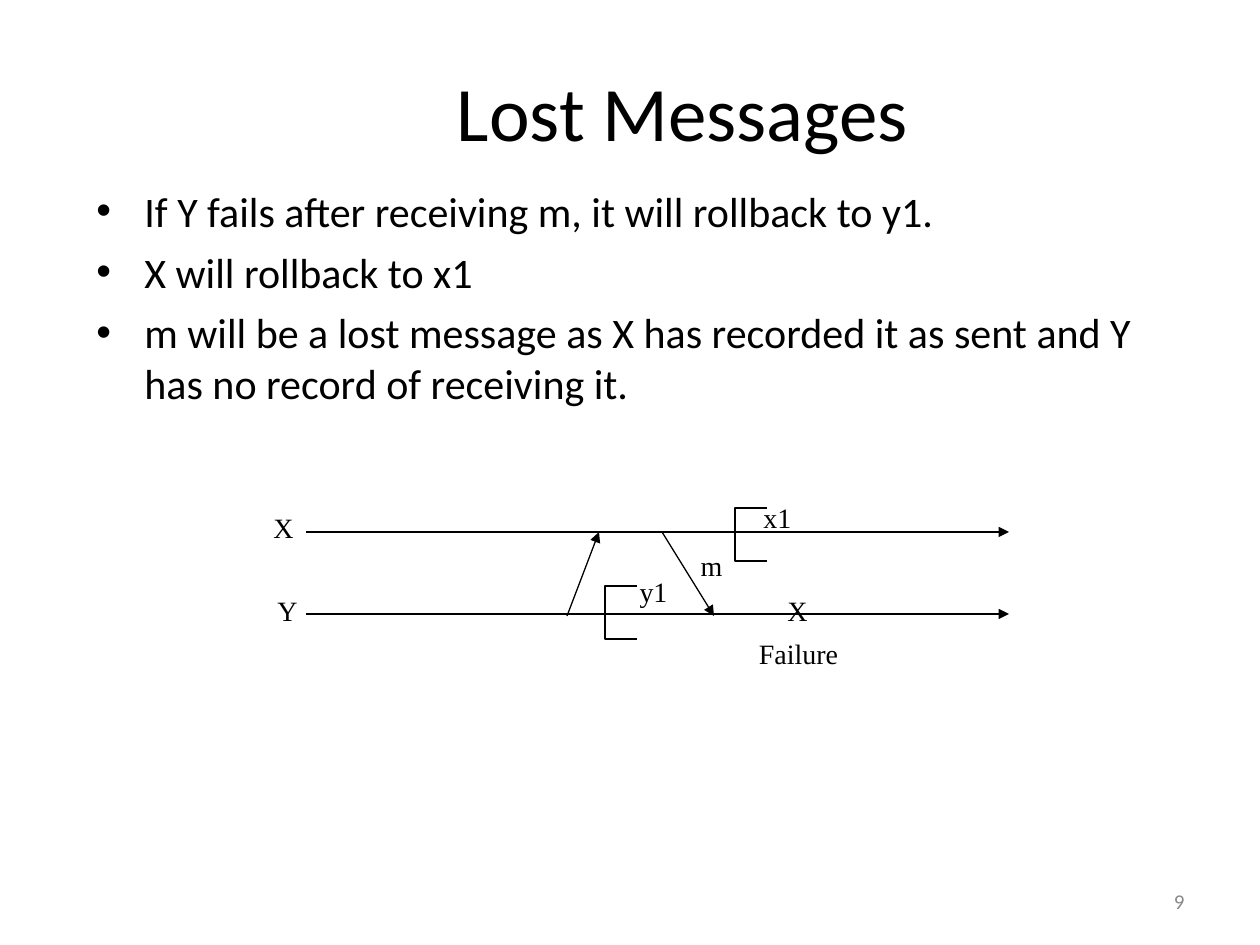
from lxml import etree
from pptx import Presentation
from pptx import util as u
from pptx.dml.color import RGBColor
from pptx.enum import shapes, text
from pptx.oxml.ns import qn

SCALE = 914400 / 126
BLACK = "000000"
SERIF = "Times New Roman"
X_LINE, Y_LINE = 532, 614
MESSAGE_END = 616


def px(length):
    return u.Emu(round(length * SCALE))


def color(value):
    return RGBColor.from_string(value)


def add_bullet(para, indent):
    properties = para._p.get_or_add_pPr()
    properties.set("marL", str(px(indent)))
    properties.set("indent", str(px(-indent)))
    etree.SubElement(properties, qn("a:buFont")).set("typeface", "Arial")
    etree.SubElement(properties, qn("a:buChar")).set("char", "•")


def add_text(page, content, left, top, width, height, *, size, font="Calibri",
             fill=BLACK, align=text.PP_ALIGN.CENTER,
             anchor=text.MSO_ANCHOR.MIDDLE, wrap=True, bullet=0, gap=0):
    box = page.shapes.add_textbox(px(left), px(top), px(width), px(height))
    frame = box.text_frame
    frame.word_wrap = wrap
    frame.vertical_anchor = anchor
    frame.text = content
    for index, para in enumerate(frame.paragraphs):
        para.alignment = align
        if index:
            para.space_before = u.Pt(gap)
        if bullet:
            add_bullet(para, bullet)
        span = para.runs[0]
        span.font.name = font
        span.font.size = u.Pt(size)
        span.font.color.rgb = color(fill)


def set_line(shape):
    shape.line.color.rgb = color(BLACK)
    shape.line.width = u.Pt(0.75)


def add_arrow(page, start_x, start_y, end_x, end_y):
    arrow = page.shapes.add_connector(
        shapes.MSO_CONNECTOR.STRAIGHT,
        px(start_x), px(start_y), px(end_x), px(end_y))
    set_line(arrow)
    etree.SubElement(arrow.line._get_or_add_ln(),
                     qn("a:tailEnd")).set("type", "triangle")
    etree.SubElement(arrow._element.spPr, qn("a:effectLst"))


def add_checkpoint(page, left, top, width=32, height=53):
    right, bottom = left + width, top + height
    builder = page.shapes.build_freeform(px(right), px(top))
    builder.add_line_segments(
        [(px(left), px(top)), (px(left), px(bottom)), (px(right), px(bottom))],
        close=False)
    bracket = builder.convert_to_shape()
    bracket.shadow.inherit = False
    bracket.fill.background()
    set_line(bracket)


def main():
    deck = Presentation()
    deck.slide_width, deck.slide_height = px(1260), px(945)
    page = deck.slides.add_slide(deck.slide_layouts[6])

    add_text(page, "9", 903, 876, 294, 50, size=12, fill="898989",
             align=text.PP_ALIGN.RIGHT)
    add_text(page, "Lost Messages", 147, 32, 1071, 157, size=44)
    add_text(page, "If Y fails after receiving m, it will rollback to y1.\n"
             "X will rollback to x1\n"
             "m will be a lost message as X has recorded it as sent "
             "and Y has no record of receiving it.",
             84, 179, 1113, 703, size=24, align=text.PP_ALIGN.LEFT,
             anchor=text.MSO_ANCHOR.TOP, bullet=48, gap=6)

    for level in (Y_LINE, X_LINE):
        add_arrow(page, 306, level, 1009, level)
    add_arrow(page, 567, MESSAGE_END, 599, X_LINE)
    add_arrow(page, 662, X_LINE, 714, MESSAGE_END)

    add_checkpoint(page, 605, 586)
    add_checkpoint(page, 735, 508)

    labels = [
        ("X", 261, 504, 45),
        ("Y", 265, 587, 45),
        ("m", 688, 542, 47),
        ("x1", 751, 494, 53),
        ("y1", 627, 568, 53),
        ("Failure", 746, 630, 105),
        ("X", 775, 587, 45),
    ]
    for content, left, top, width in labels:
        add_text(page, content, left, top, width, 47, size=16, font=SERIF,
                 wrap=False)

    deck.save("out.pptx")


if __name__ == "__main__":
    main()
